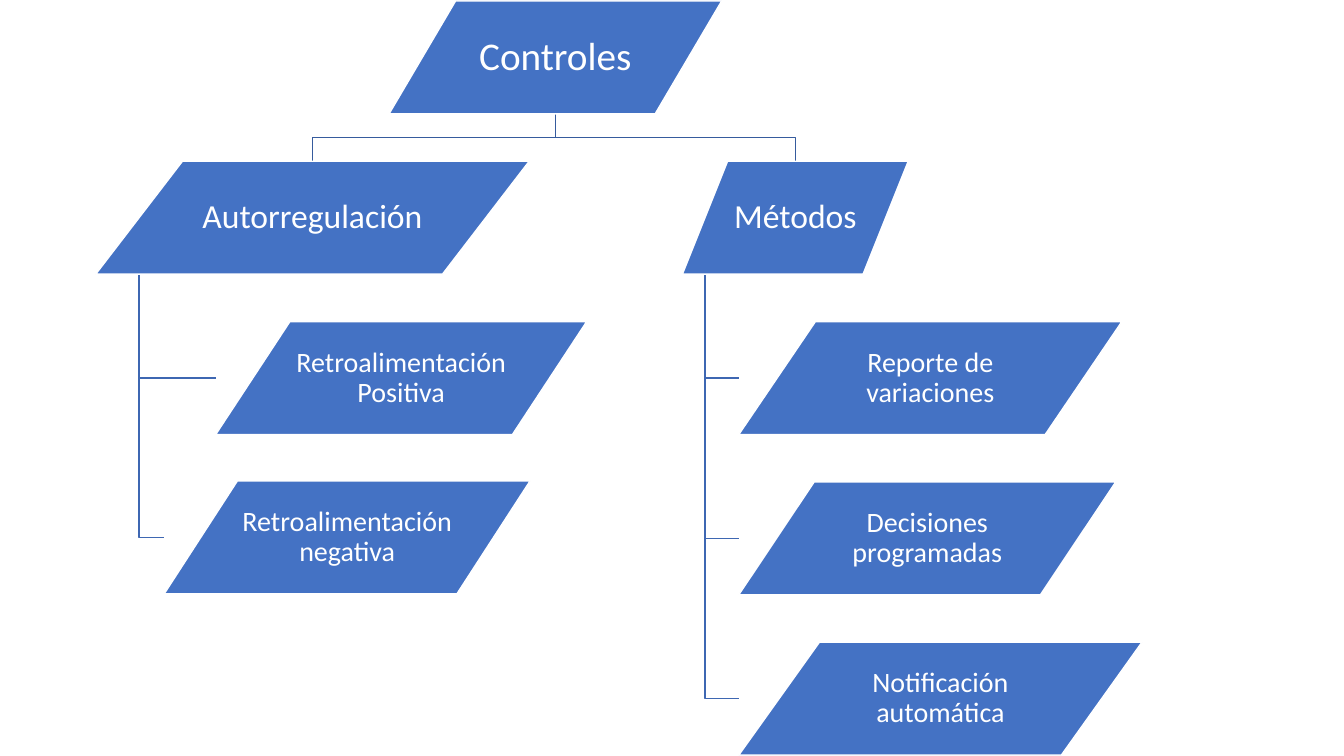
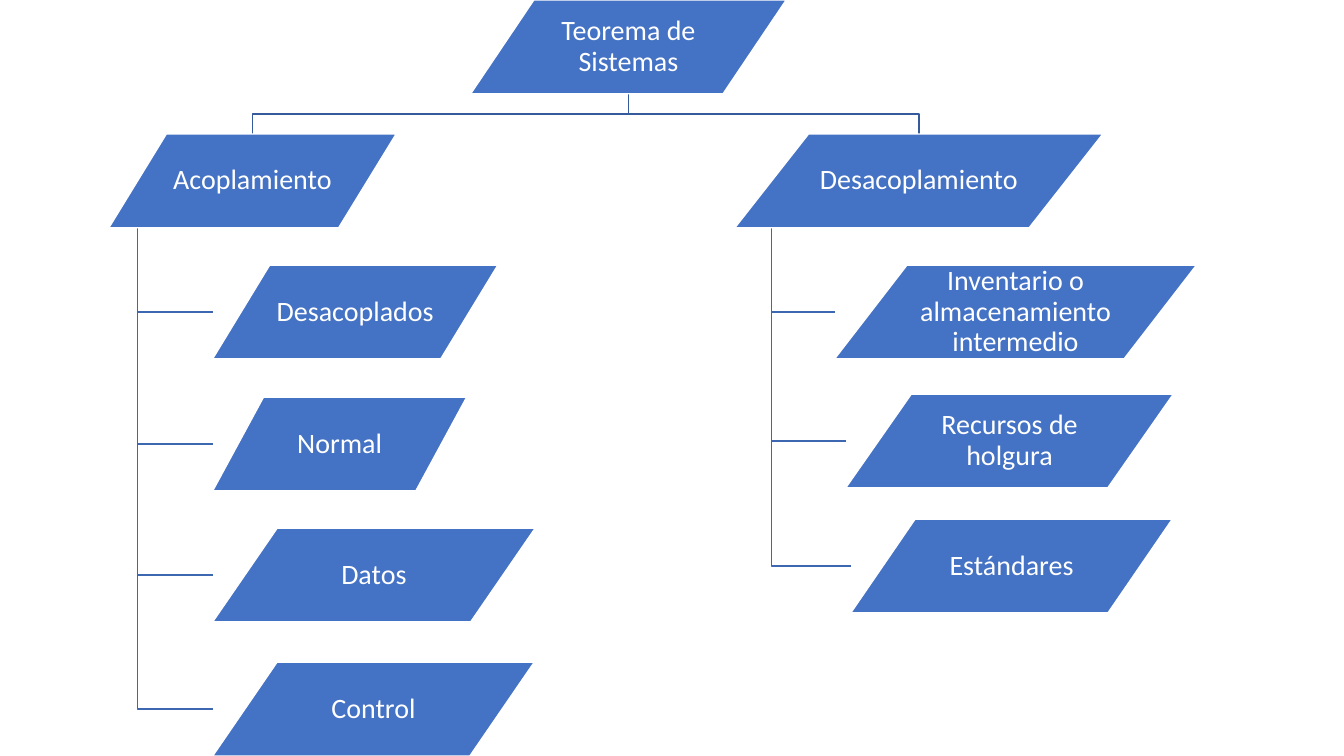
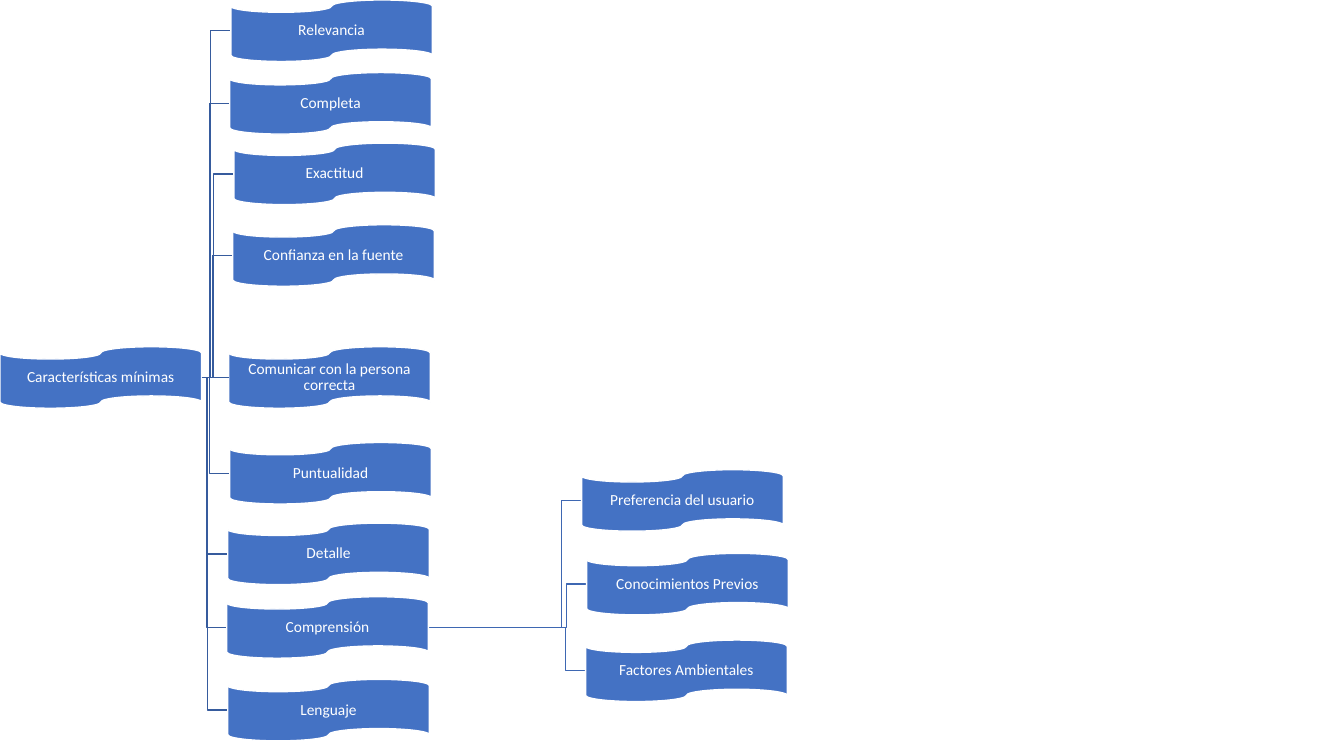
"""Three tree diagrams: controls, systems theorem and minimum characteristics."""
from lxml.etree import SubElement
from pptx import Presentation
from pptx.dml.color import RGBColor
from pptx.enum.shapes import MSO_CONNECTOR, MSO_SHAPE
from pptx.enum.text import MSO_ANCHOR, PP_ALIGN
from pptx.oxml.ns import qn
from pptx.util import Inches, Pt

BLUE = RGBColor(0x44, 0x72, 0xC4)
DARK = RGBColor(0x36, 0x5B, 0x9D)
MID = RGBColor(0x3E, 0x67, 0xB2)
WHITE = RGBColor(0xFF, 0xFF, 0xFF)
FONT = "Calibri"

deck = Presentation()
deck.slide_width = Inches(13.333)
deck.slide_height = Inches(7.5)
CELL = deck.slide_height // 75
BLANK = deck.slide_layouts[6]


def add_node(slide, kind, text, box, size):
    node = slide.shapes.add_shape(kind, *[round(side * CELL) for side in box])
    node.shadow.inherit = False
    node.fill.solid()
    node.fill.fore_color.rgb = BLUE
    node.line.color.rgb = WHITE
    node.line.width = Pt(1)
    frame = node.text_frame
    frame.word_wrap = True
    frame.vertical_anchor = MSO_ANCHOR.MIDDLE
    inset = Inches(0.02 if size > 20 else 0.01)
    frame.margin_left = frame.margin_right = inset
    frame.margin_top = frame.margin_bottom = inset
    frame.text = text
    para = frame.paragraphs[0]
    para.alignment = PP_ALIGN.CENTER
    para.line_spacing = 0.9
    font = para.runs[0].font
    font.name = FONT
    font.size = Pt(size)
    font.color.rgb = WHITE
    return node


def add_elbow(slide, points, colour):
    start, *rest = [(round(x * CELL), round(y * CELL)) for x, y in points]
    pen = slide.shapes.build_freeform(*start)
    pen.add_line_segments(rest, close=False)
    elbow = pen.convert_to_shape()
    elbow.shadow.inherit = False
    elbow.fill.background()
    elbow.line.color.rgb = colour
    elbow.line.width = Pt(1)


# Tree: height of a node, then root and branches as (text, left, top, width, size),
# each branch with its leaves as (text, left, top, width).
TREES = [
    (11.2, ("Controles", 38.6, 0.1, 33, 28), [
        (("Autorregulación", 9.5, 16, 43, 24), [
            ("Retroalimentación Positiva", 21.4, 31.9, 36.8),
            ("Retroalimentación negativa", 16.3, 47.7, 36.3)]),
        (("Métodos", 67.7, 16, 22.4, 24), [
            ("Reporte de variaciones", 73.3, 31.9, 38),
            ("Decisiones programadas", 73.3, 47.8, 37.4),
            ("Notificación automática", 73.3, 63.7, 40)])]),
    (9.3, ("Teorema de Sistemas", 46.7, 0, 31.3, 20), [
        (("Acoplamiento", 10.8, 13.3, 28.5, 20), [
            ("Desacoplados", 21.1, 26.3, 28.3),
            ("Normal", 21.1, 39.4, 25.2),
            ("Datos", 21.1, 52.4, 32),
            ("Control", 21.1, 65.7, 31.9)]),
        (("Desacoplamiento", 72.9, 13.3, 36.5, 20), [
            ("Inventario o almacenamiento intermedio", 82.8, 26.3, 35.9),
            ("Recursos de holgura", 83.9, 39.1, 32.5),
            ("Estándares", 84.4, 51.5, 31.9)])]),
]

for high, root, limbs in TREES:
    slide = deck.slides.add_slide(BLANK)
    nodes = [root]
    hub = root[1] + root[3] / 2
    base = root[2] + high
    for limb, leaves in limbs:
        name, left, top, wide, size = limb
        nodes.append(limb)
        peak = left + wide / 2
        bend = (base + top) / 2
        add_elbow(slide, [(hub, base), (hub, bend), (peak, bend), (peak, top)], DARK)
        trunk = left + wide / 10
        for leaf in leaves:
            nodes.append((*leaf, 20))
            level = leaf[2] + high / 2
            add_elbow(slide, [(trunk, top + high), (trunk, level), (leaf[1], level)], MID)
    for text, left, top, wide, size in nodes:
        add_node(slide, MSO_SHAPE.FLOWCHART_DATA, text, (left, top, wide, high), size)

WIDE, HIGH, STUB = 20, 6.1, 2
ROOT = ("Características mínimas", 0, 34.4)
PEER = ("Comunicar con la persona correcta", 22.7, 34.4)
GRASP = ("Comprensión", 22.5, 59.2)
TRAITS = [
    ("Relevancia", 22.9, 0), ("Completa", 22.8, 7.2), ("Exactitud", 23.2, 14.2),
    ("Confianza en la fuente", 23.1, 22.3), ("Puntualidad", 22.8, 43.9),
    ("Detalle", 22.6, 51.9), GRASP, ("Lenguaje", 22.6, 67.4),
]
FACTORS = [
    ("Preferencia del usuario", 57.7, 46.6), ("Conocimientos Previos", 58.2, 54.9),
    ("Factores Ambientales", 58.1, 63.5),
]

slide = deck.slides.add_slide(BLANK)
for parent, kids, colour in [(ROOT, TRAITS, DARK), (GRASP, FACTORS, MID)]:
    edge = parent[1] + WIDE
    axis = parent[2] + HIGH / 2
    for name, left, top in kids:
        bend, level = left - STUB, top + HIGH / 2
        add_elbow(slide, [(edge, axis), (bend, axis), (bend, level), (left, level)], colour)

tapes = {}
for name, left, top in [ROOT, PEER, *TRAITS, *FACTORS]:
    tapes[name] = add_node(slide, MSO_SHAPE.FLOWCHART_PUNCHED_TAPE, name,
                           (left, top, WIDE, HIGH), 11)

bar = slide.shapes.add_connector(MSO_CONNECTOR.STRAIGHT, 0, 0, 0, 0)
bar.begin_connect(tapes[ROOT[0]], 3)
bar.end_connect(tapes[PEER[0]], 1)
bar.line.color.rgb = DARK
bar.line.width = Pt(1)
SubElement(bar._element.spPr, qn("a:effectLst"))

deck.save("out.pptx")
